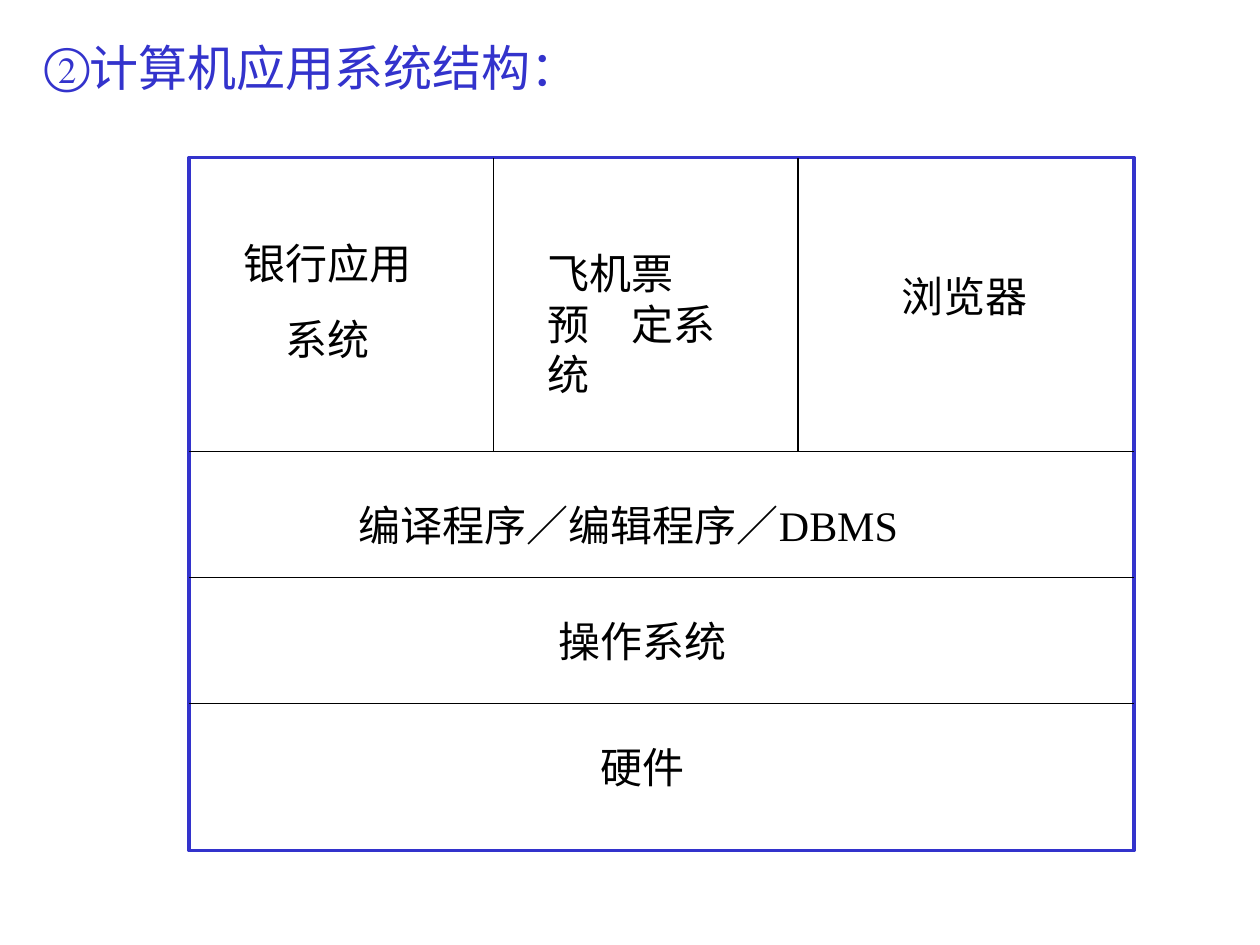
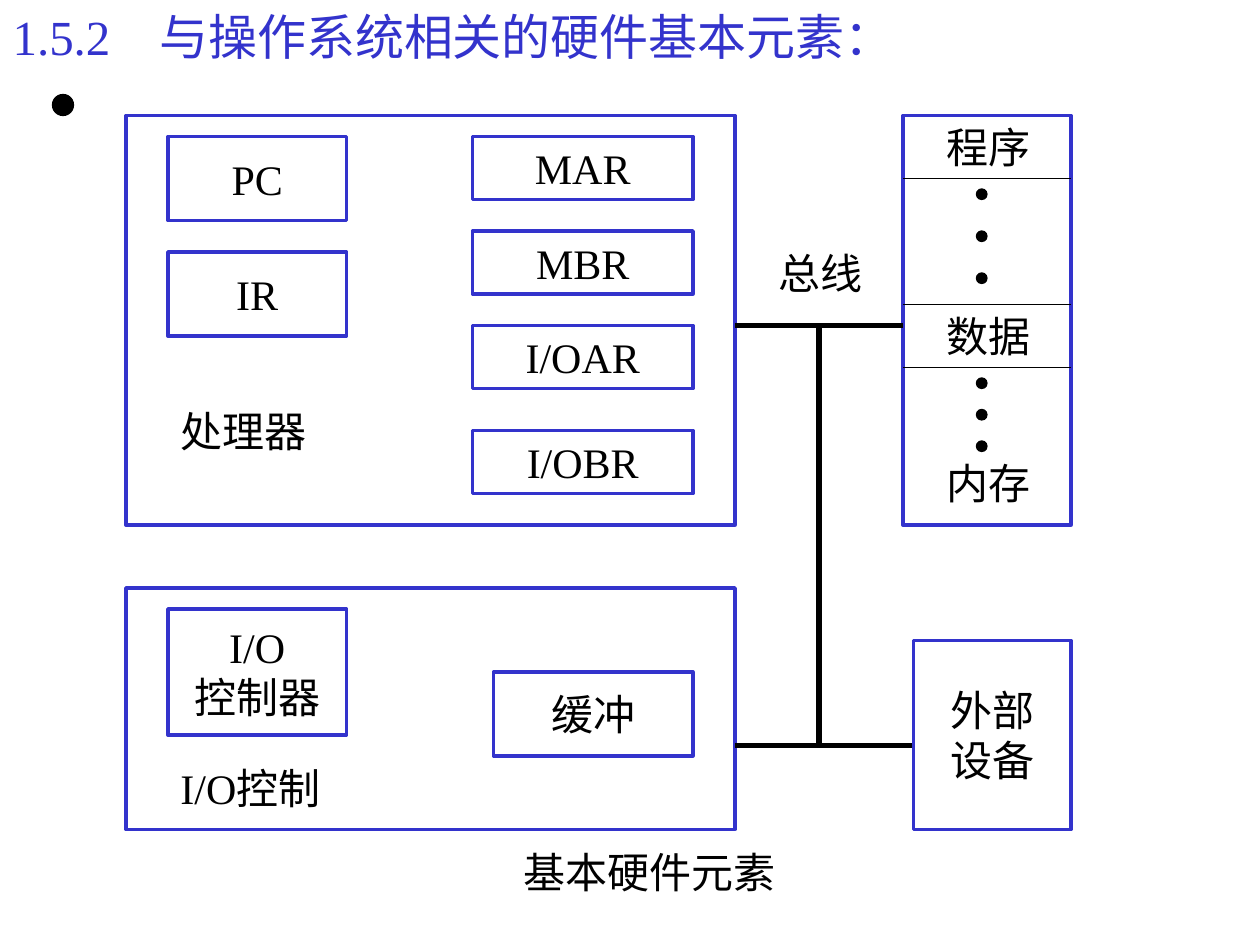
from dataclasses import dataclass

from pptx import Presentation
from pptx import util as u
from pptx.dml.color import RGBColor
from pptx.enum import lang, shapes, text
from pptx.oxml import ns, xmlchemy

BLUE = RGBColor(0x33, 0x33, 0xCC)
BLACK = RGBColor(0, 0, 0)
WHITE = RGBColor(0xFF, 0xFF, 0xFF)
FONT = "Times New Roman"
TITLE_SIZE, BODY_SIZE = 28, 24
THIN, FRAME, BUS = 0.75, 2, 3
LABEL_HEIGHT = 36


@dataclass
class Box:
    """A rectangle on the slide, in points."""
    left: float
    top: float
    width: float
    height: float

    def inner(self, left, top, width, height):
        """Return a box placed relative to this one."""
        return Box(self.left + left, self.top + top, width, height)

    def in_points(self):
        """Return the four lengths for python-pptx."""
        return [u.Pt(v) for v in (self.left, self.top, self.width, self.height)]


def write(paragraph, words, size=BODY_SIZE, color=BLACK):
    """Add one formatted run to a paragraph."""
    run = paragraph.add_run()
    run.text = words
    run.font.name = FONT
    run.font.size = u.Pt(size)
    run.font.color.rgb = color
    run.font.language_id = lang.MSO_LANGUAGE_ID.SIMPLIFIED_CHINESE


def add_number(paragraph, number):
    """Put a circled number before a paragraph."""
    properties = paragraph._p.get_or_add_pPr()
    properties.set("marL", "0")
    properties.set("indent", "0")
    color = xmlchemy.OxmlElement("a:buClr")
    rgb = xmlchemy.OxmlElement("a:srgbClr")
    rgb.set("val", str(BLUE))
    color.append(rgb)
    face = xmlchemy.OxmlElement("a:buFont")
    face.set("typeface", FONT)
    char = xmlchemy.OxmlElement("a:buChar")
    char.set("char", number)
    for element in (color, face, char):
        properties.append(element)


def add_titled_slide(deck, box, title, number=None):
    """Add a slide with the shared title style."""
    slide = deck.slides.add_slide(deck.slide_layouts[5])
    heading = slide.shapes.title
    heading.left, heading.top, heading.width, heading.height = box.in_points()
    frame = heading.text_frame
    frame.auto_size = text.MSO_AUTO_SIZE.NONE
    frame.vertical_anchor = text.MSO_ANCHOR.TOP
    paragraph = frame.paragraphs[0]
    paragraph.alignment = text.PP_ALIGN.LEFT
    if number:
        add_number(paragraph, number)
    write(paragraph, title, TITLE_SIZE, BLUE)
    return slide


def add_label(slide, box, words):
    """Add a left-aligned, wrapping label."""
    frame = slide.shapes.add_textbox(*box.in_points()).text_frame
    frame.word_wrap = True
    write(frame.paragraphs[0], words)
    return frame


def add_panel(slide, box, *lines):
    """Add a blue-edged white rectangle with centred lines of text."""
    panel = slide.shapes.add_shape(shapes.MSO_SHAPE.RECTANGLE, *box.in_points())
    panel.shadow.inherit = False
    panel.fill.solid()
    panel.fill.fore_color.rgb = WHITE
    panel.line.color.rgb = BLUE
    panel.line.width = u.Pt(FRAME)
    frame = panel.text_frame
    frame.word_wrap = False
    frame.vertical_anchor = text.MSO_ANCHOR.MIDDLE
    for index, words in enumerate(lines):
        paragraph = frame.add_paragraph() if index else frame.paragraphs[0]
        paragraph.alignment = text.PP_ALIGN.CENTER
        write(paragraph, words)


def add_line(slide, box, width=THIN):
    """Draw a black line across a box from its first to its last corner."""
    left, top, across, down = box.in_points()
    line = slide.shapes.add_connector(
        shapes.MSO_CONNECTOR.STRAIGHT, left, top, left + across, top + down)
    line.line.color.rgb = BLACK
    line.line.width = u.Pt(width)
    line._element.find(ns.qn("p:spPr")).append(xmlchemy.OxmlElement("a:effectLst"))


def add_dot(slide, box):
    """Add a black dot."""
    dot = slide.shapes.add_shape(shapes.MSO_SHAPE.OVAL, *box.in_points())
    dot.shadow.inherit = False
    dot.fill.solid()
    dot.fill.fore_color.rgb = BLACK
    dot.line.color.rgb = BLACK
    dot.line.width = u.Pt(THIN)


def draw_layers(slide, box):
    """Draw the application row above the three system layers."""
    row, column, apps_height = 72, 174, 168
    add_panel(slide, box)
    for layer in range(3):
        add_line(slide, box.inner(0, apps_height + layer * row, box.width, 0))
    for app in (1, 2):
        add_line(slide, box.inner(app * column, 0, 0, apps_height))
    for words, left, top, width in (
            ("编译程序／编辑程序／DBMS", 90, 192, 348),
            ("操作系统", 204, 258, 120),
            ("硬件", 228, 330, 108),
            ("浏览器", 400, 61, 96)):
        add_label(slide, box.inner(left, top, width, LABEL_HEIGHT), words)
    add_label(slide, box.inner(198, 48, 132, 94), "飞机票预　定系统")
    bank = add_label(slide, box.inner(24, 42, 120, 80), "银行应用")
    second = bank.add_paragraph()
    second.space_before = u.Pt(15)
    second._p.get_or_add_pPr().set("marL", str(u.Pt(BODY_SIZE)))
    write(second, "系统")


def draw_processor(slide, box):
    """Draw the processor and its registers."""
    add_panel(slide, box)
    for index, register in enumerate(("PC", "IR")):
        add_panel(slide, box.inner(24, 12 + index * 66, 102, 48), register)
    for register, top in (("MAR", 12), ("MBR", 66), ("I/OAR", 120), ("I/OBR", 180)):
        add_panel(slide, box.inner(198, top, 126, 36), register)
    add_label(slide, box.inner(24, 162, 120, LABEL_HEIGHT), "处理器")


def draw_io_control(slide, box):
    """Draw the I/O control block with its controller and buffer."""
    add_panel(slide, box)
    add_panel(slide, box.inner(24, 12, 102, 72), "I/O", "控制器")
    add_panel(slide, box.inner(210, 48, 114, 48), "缓冲")
    add_label(slide, box.inner(24, 96, 126, LABEL_HEIGHT), "I/O控制")


def draw_memory(slide, box):
    """Draw the memory with its program and data cells."""
    add_panel(slide, box)
    for top in (36, 108, 144):
        add_line(slide, box.inner(0, top, box.width, 0))
    for words, top in (("程序", 0), ("数据", 108), ("内存", 192)):
        add_label(slide, box.inner(18, top, 66, LABEL_HEIGHT), words)
    for first, gap in ((42, 24), (150, 18)):
        for index in range(3):
            add_dot(slide, box.inner(42, first + index * gap, 6, 6))


def draw_bus(slide, box):
    """Draw the bus joining the blocks, with its label."""
    add_line(slide, box.inner(0, 0, 96, 0), BUS)
    add_line(slide, box.inner(48, 0, 0, box.height), BUS)
    add_line(slide, box.inner(0, box.height, box.width, 0), BUS)
    add_label(slide, box.inner(18, -48, 66, LABEL_HEIGHT), "总线")


def build_structure_slide(deck):
    """Build the slide on the layers of an application system."""
    slide = add_titled_slide(deck, Box(18, 18, 340, 41), "计算机应用系统结构：", "②")
    draw_layers(slide, Box(108, 90, 540, 396))


def build_hardware_slide(deck):
    """Build the slide on the basic hardware elements."""
    slide = add_titled_slide(
        deck, Box(0, 0, 612, 41), "1.5.2　与操作系统相关的硬件基本元素：")
    draw_processor(slide, Box(72, 66, 348, 234))
    draw_io_control(slide, Box(72, 336, 348, 138))
    draw_memory(slide, Box(516, 66, 96, 234))
    draw_bus(slide, Box(420, 186, 108, 240))
    add_panel(slide, Box(522, 366, 90, 108), "外部", "设备")
    add_label(slide, Box(292, 480, 162, LABEL_HEIGHT), "基本硬件元素")
    add_dot(slide, Box(30, 54, 12, 12))


def main():
    """Build the deck and save it."""
    deck = Presentation()
    deck.slide_width, deck.slide_height = u.Pt(720), u.Pt(540)
    build_structure_slide(deck)
    build_hardware_slide(deck)
    deck.save("out.pptx")


if __name__ == "__main__":
    main()
